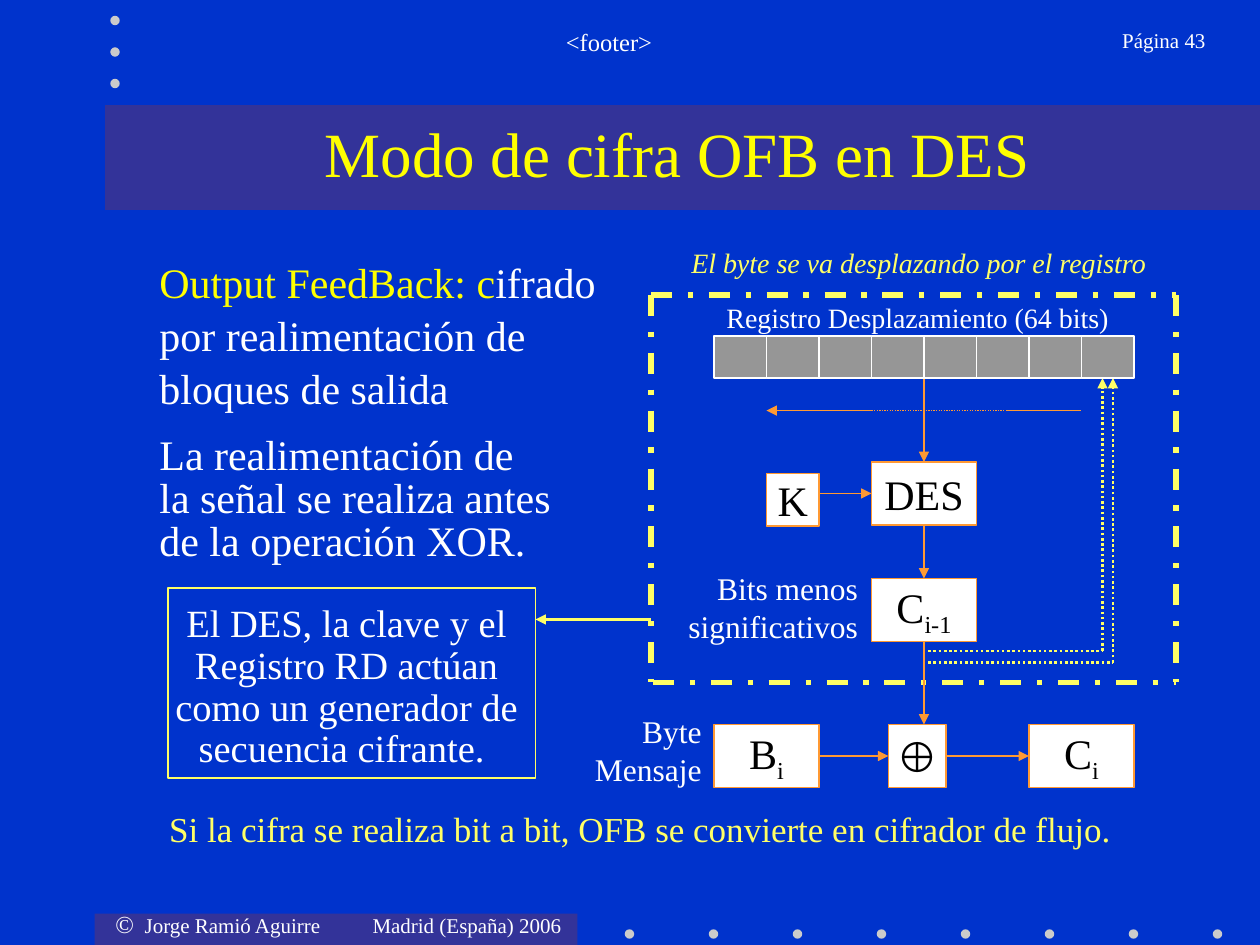
from pptx import Presentation
from pptx.dml.color import RGBColor as Rgb
from pptx.enum.dml import MSO_LINE as Dash
from pptx.enum.shapes import MSO_CONNECTOR as Conn, MSO_SHAPE as Kind
from pptx.enum.text import MSO_ANCHOR as Anc, PP_ALIGN as Al
from pptx.oxml.ns import qn
from pptx.util import Pt
from lxml.etree import SubElement as Sub

PX = 7620
HUE = {
    "blue": "0033CC", "band": "333399", "dot": "CBCBCB", "white": "FFFFFF",
    "black": "000000", "gray": "969696", "gold": "FFFF00", "lemon": "FFFF66",
    "amber": "FF9933",
}
hue = {name: Rgb.from_string(code) for name, code in HUE.items()}

deck = Presentation()
deck.slide_width, deck.slide_height = 1200 * PX, 900 * PX
slide = deck.slides.add_slide(deck.slide_layouts[6])
slide.background.fill.solid()
slide.background.fill.fore_color.rgb = hue["blue"]
shapes = slide.shapes


def block(kind, box, fill=None, line=None, width=0.75):
    shape = shapes.add_shape(kind, *[n * PX for n in box])
    shape.shadow.inherit = False
    if fill:
        shape.fill.solid()
        shape.fill.fore_color.rgb = hue[fill]
    else:
        shape.fill.background()
    if line:
        shape.line.color.rgb = hue[line]
        shape.line.width = Pt(width)
    else:
        shape.line.fill.background()
    return shape


def wire(ends, color, width=0.75, head=True, dash=None):
    line = shapes.add_connector(Conn.STRAIGHT, *[n * PX for n in ends])
    line.line.color.rgb = hue[color]
    line.line.width = Pt(width)
    if dash:
        line.line.dash_style = dash
    if head:
        Sub(line.line._get_or_add_ln(), qn("a:tailEnd"), type="triangle")
    Sub(line._element.spPr, qn("a:effectLst"))
    return line


block(Kind.RECTANGLE, (90, 870, 460, 30), "band")
block(Kind.RECTANGLE, (100, 100, 1100, 100), "band")
dots = [(595 + 80 * i, 885) for i in range(8)] + [(105, 15 + 30 * i) for i in range(3)]
for x, y in dots:
    block(Kind.OVAL, (x, y, 9, 9), "dot")

for ends in [(620, 281, 1120, 281), (1120, 281, 1120, 650),
             (622, 650, 1120, 650), (620, 281, 620, 650)]:
    wire(ends, "lemon", 3, False, Dash.DASH_DOT)
wire((620, 590, 510, 590), "lemon", 1.5)
for x, y in [(1050, 620), (1060, 631)]:
    wire((884, y, x, y), "lemon", 1.5, False, Dash.ROUND_DOT)
    wire((x, y, x, 360), "lemon", 1.5, True, Dash.ROUND_DOT)

nodes = {}
for name, box, word, low in [
    ("des", (830, 440, 100, 60), "DES", ""),
    ("key", (730, 451, 50, 50), "K", ""),
    ("prev", (830, 551, 100, 60), "C", "i-1"),
    ("xor", (846, 690, 55, 60), "⊕", ""),
    ("byte", (680, 690, 100, 60), "B", "i"),
    ("out", (980, 690, 100, 60), "C", "i"),
]:
    node = nodes[name] = block(Kind.RECTANGLE, box, "white", "amber")
    frame = node.text_frame
    frame.word_wrap = False
    frame.vertical_anchor = Anc.MIDDLE
    para = frame.paragraphs[0]
    para.alignment = Al.CENTER
    para.font.name = "Arial" if name == "xor" else "Times New Roman"
    para.font.size = Pt(24)
    para.font.color.rgb = hue["black"]
    para.add_run().text = word
    if low:
        sub = para.add_run()
        sub.text = low
        sub.font._element.set("baseline", "-25000")

for ends, start, stop in [
    ((880, 360, 880, 440), None, ("des", 0)),
    ((880, 500, 880, 551), ("des", 2), ("prev", 0)),
    ((880, 611, 880, 690), ("prev", 2), None),
    ((780, 720, 846, 720), ("byte", 3), ("xor", 1)),
    ((901, 720, 980, 720), ("xor", 3), ("out", 1)),
    ((780, 470, 830, 470), None, ("des", 1)),
]:
    line = wire(ends, "amber")
    if start:
        line.begin_connect(nodes[start[0]], start[1])
    if stop:
        line.end_connect(nodes[stop[0]], stop[1])
wire((830, 391, 730, 391), "amber")
wire((830, 391, 958, 391), "amber", head=False, dash=Dash.ROUND_DOT)
wire((958, 391, 1030, 391), "amber", head=False)

for i in range(8):
    block(Kind.RECTANGLE, (680 + 50 * i, 320, 50, 40), "gray", "white")
block(Kind.RECTANGLE, (160, 560, 350, 181), None, "lemon", 1)

L, C, R = Al.LEFT, Al.CENTER, Al.RIGHT
T, M = Anc.TOP, Anc.MIDDLE
for box, size, color, align, anchor, wrap, gap, text in [
    ((190, 20, 780, 60), 14, "white", C, T, True, 1, "<footer>"),
    ((996, 20, 164, 60), 12, "white", R, T, True, 1, "Página 43"),
    ((110, 100, 1070, 90), 36, "gold", C, M, True, 1, "Modo de cifra OFB en DES"),
    ((140, 410, 400, 134), 24, "white", L, T, True, 0.85,
     "La realimentación de la señal se realiza antes de la operación XOR."),
    ((140, 570, 380, 170), 22, "white", C, T, True, 0.9,
     "El DES, la clave y el Registro RD actúan como un generador de secuencia cifrante. "),
    ((620, 536, 209, 84), 18, "white", R, M, True, 1, "Bits menos significativos"),
    ((530, 672, 150, 84), 18, "white", R, M, True, 1, "Byte Mensaje"),
    ((680, 280, 388, 44), 16, "white", C, M, False, 1, "Registro Desplazamiento (64 bits)"),
    ((631, 229, 488, 42), 16, "lemon", C, M, False, 1, "El byte se va desplazando por el registro"),
    ((130, 757, 960, 64), 20, "lemon", C, M, False, 1,
     "Si la cifra se realiza bit a bit, OFB se convierte en cifrador de flujo."),
]:
    frame = shapes.add_textbox(*[n * PX for n in box]).text_frame
    frame.word_wrap = wrap
    frame.vertical_anchor = anchor
    para = frame.paragraphs[0]
    para.text = text
    para.alignment = align
    para.line_spacing = gap
    para.font.name = "Times New Roman"
    para.font.size = Pt(size)
    para.font.color.rgb = hue[color]
    if text.startswith("El byte"):
        para.font.italic = True

frame = shapes.add_textbox(140 * PX, 236 * PX, 460 * PX, 156 * PX).text_frame
frame.word_wrap = True
para = frame.paragraphs[0]
para.line_spacing = 1.05
para.font.name = "Times New Roman"
para.font.size = Pt(24)
for text, color in [("Output FeedBack: c", "gold"),
                    ("ifrado por realimentación de bloques de salida", "white")]:
    run = para.add_run()
    run.text = text
    run.font.color.rgb = hue[color]

frame = shapes.add_textbox(98 * PX, 860 * PX, 450 * PX, 40 * PX).text_frame
frame.word_wrap = True
para = frame.paragraphs[0]
tabs = Sub(para._p.get_or_add_pPr(), qn("a:tabLst"))
for stop in (28, 245):
    Sub(tabs, qn("a:tab"), pos=str(stop * PX), algn="l")
para.font.name = "Times New Roman"
para.font.color.rgb = hue["white"]
for text, size in [("©", 14), ("\tJorge Ramió Aguirre\tMadrid (España) 2006", 12)]:
    run = para.add_run()
    run.text = text
    run.font.size = Pt(size)

deck.save("out.pptx")
